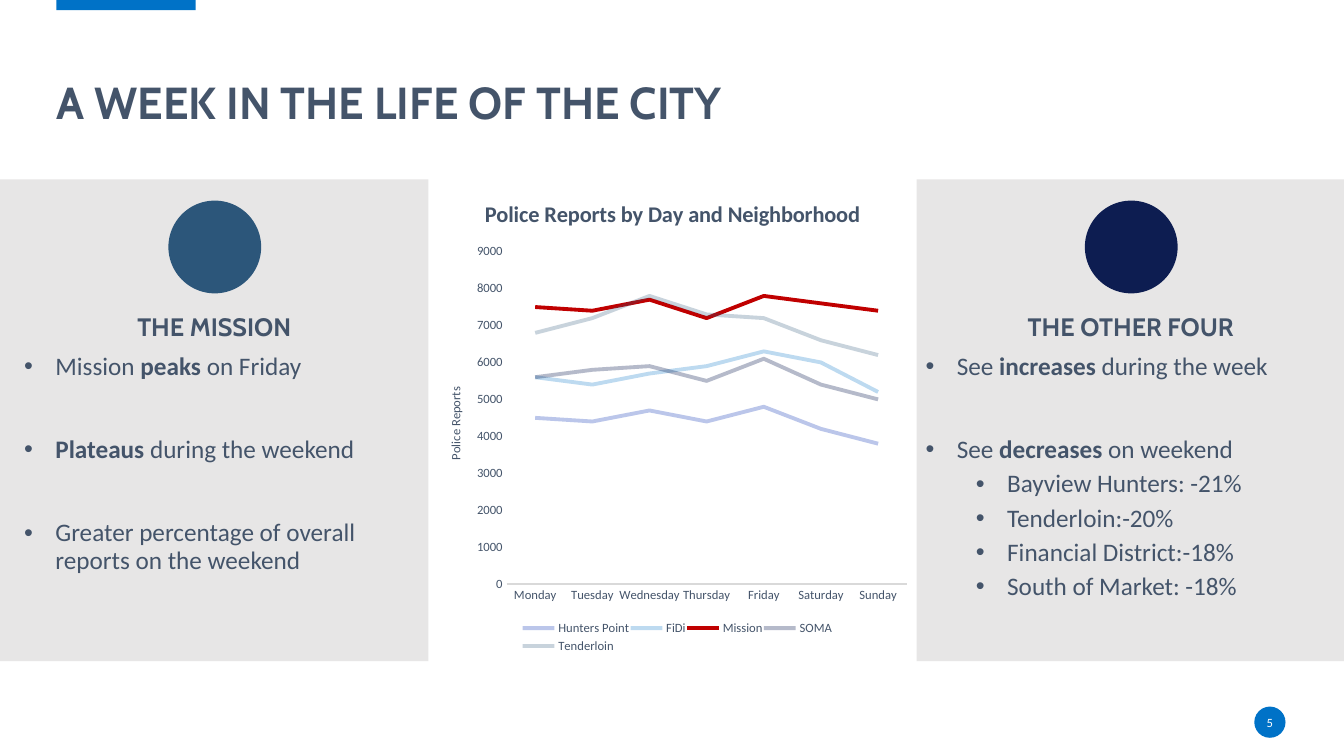
"""Build a slide on weekly police reports with a line chart between two panels."""
from lxml import etree
from pptx import Presentation
from pptx import util as u
from pptx.chart import data as cd
from pptx.dml.color import RGBColor
from pptx.enum import chart as ce, shapes, text
from pptx.oxml import parse_xml
from pptx.oxml.ns import nsdecls, qn

SCALE = 9144
INK = "44546A"
BLUE = "0072C7"
GREY = "E7E6E6"
HEAD, BODY = "Cabin", "Calibri"
DAYS = ["Monday", "Tuesday", "Wednesday", "Thursday", "Friday", "Saturday", "Sunday"]
SERIES = [
    ("Hunters Point", "1E44BC", 30, [4500, 4400, 4700, 4400, 4800, 4200, 3800]),
    ("FiDi", BLUE, 25, [5600, 5400, 5700, 5900, 6300, 6000, 5200]),
    ("Mission", "C00000", 100, [7500, 7400, 7700, 7200, 7800, 7600, 7400]),
    ("SOMA", "0D1D51", 30, [5600, 5800, 5900, 5500, 6100, 5400, 5000]),
    ("Tenderloin", "2C567A", 25, [6800, 7200, 7800, 7300, 7200, 6600, 6200]),
]
MISSION = [
    (0, 0, ["Mission ", "peaks", " on Friday"]),
    (0, 40, ["", "Plateaus", " during the weekend"]),
    (0, 40, ["Greater percentage of overall reports on the weekend"]),
]
OTHERS = [
    (0, 0, ["See ", "increases", " during the week"]),
    (0, 40, ["See ", "decreases", " on weekend"]),
    (1, 5, ["Bayview Hunters: -21%"]),
    (1, 5, ["Tenderloin:-20%"]),
    (1, 5, ["Financial District:-18%"]),
    (1, 5, ["South of Market: -18%"]),
]


def px(*vals):
    """Turn px lengths into EMU."""
    return [u.Emu(v * SCALE) for v in vals]


def rgb(code):
    """Turn a hex string into a colour."""
    return RGBColor.from_string(code)


def style(font, size, name=BODY, color=INK, bold=False):
    """Set the look of a font."""
    font.size, font.name, font.bold = u.Pt(size), name, bold
    font.color.rgb = rgb(color)


def frame(shape, anchor):
    """Clear the insets of a shape's text and set its anchor."""
    box = shape.text_frame
    box.margin_left = box.margin_right = box.margin_top = box.margin_bottom = 0
    box.word_wrap = True
    box.vertical_anchor = anchor
    return box


def block(slide, kind, box, fill):
    """Draw a plain filled shape."""
    shape = slide.shapes.add_shape(kind, *px(*box))
    shape.shadow.inherit = False
    shape.fill.solid()
    shape.fill.fore_color.rgb = rgb(fill)
    shape.line.fill.background()
    return shape


def label(shape, words, size, name=HEAD, color=INK, bold=True):
    """Write one centred line in a shape."""
    box = frame(shape, text.MSO_ANCHOR.MIDDLE)
    box.text = words
    para = box.paragraphs[0]
    para.alignment = text.PP_ALIGN.CENTER
    style(para.runs[0].font, size, name, color, bold)


def bullets(slide, box, items):
    """Write a bulleted list whose odd segments are bold."""
    area = frame(slide.shapes.add_textbox(*px(*box)), text.MSO_ANCHOR.TOP)
    for num, (level, gap, parts) in enumerate(items):
        para = area.add_paragraph() if num else area.paragraphs[0]
        para.level = level
        para.line_spacing = 0.9
        para.space_before = u.Pt(gap)
        props = para._p.get_or_add_pPr()
        left, hang = px(31 + 50 * level, -31)
        props.set("marL", str(left))
        props.set("indent", str(hang))
        etree.SubElement(props, qn("a:buFont")).set("typeface", "Arial")
        etree.SubElement(props, qn("a:buChar")).set("char", "•")
        for spot, part in enumerate(parts):
            if part:
                run = para.add_run()
                run.text = part
                style(run.font, 18, bold=spot % 2 == 1)


def panel(slide, left, tint, head, inset, items):
    """Draw a side panel with its disc, heading and list."""
    block(slide, shapes.MSO_SHAPE.RECTANGLE, (left, 178, 425, 478), GREY)
    block(slide, shapes.MSO_SHAPE.OVAL, (left + 167, 199, 92, 92), tint)
    label(slide.shapes.add_textbox(*px(left + 24, 297, 377, 54)), head, 18)
    bullets(slide, (left + inset, 351, 377, 274), items)


def place(node, spot, inner, **rect):
    """Give a chart part a fixed place as shares of the chart."""
    for old in node.findall(qn("c:layout")):
        node.remove(old)
    target = '<c:layoutTarget val="inner"/>' if inner else ""
    modes = '<c:xMode val="edge"/><c:yMode val="edge"/>'
    sides = "".join(f'<c:{key} val="{val}"/>' for key, val in rect.items())
    node.insert(spot, parse_xml(
        f'<c:layout {nsdecls("c")}><c:manualLayout>{target}{modes}{sides}'
        "</c:manualLayout></c:layout>"))


def caption(owner, words, size, bold):
    """Write the title of a chart or an axis."""
    box = owner.text_frame
    box.text = words
    style(box.paragraphs[0].runs[0].font, size, bold=bold)
    return box


def reports(slide, box):
    """Draw the line chart of reports by day."""
    data = cd.CategoryChartData()
    data.categories = DAYS
    for name, _, _, vals in SERIES:
        data.add_series(name, vals)
    chart = slide.shapes.add_chart(ce.XL_CHART_TYPE.LINE, *px(*box), data).chart
    style(chart.font, 9)
    chart.has_title = True
    caption(chart.chart_title, "Police Reports by Day and Neighborhood", 16, True)

    days, count = chart.category_axis, chart.value_axis
    for axis in (days, count):
        axis.major_tick_mark = axis.minor_tick_mark = ce.XL_TICK_MARK.NONE
        axis.has_major_gridlines = False
        style(axis.tick_labels.font, 9)
    days.format.line.color.rgb = rgb("D9D9D9")
    days.format.line.width = u.Pt(1)
    count.format.line.fill.background()
    count.minimum_scale, count.maximum_scale, count.major_unit = 0, 9000, 1000
    count.has_title = True
    side = caption(count.axis_title, "Police Reports", 9, False)
    side._txBody.bodyPr.set("rot", "-5400000")
    side._txBody.bodyPr.set("vert", "horz")

    chart.has_legend = True
    legend = chart.legend
    legend.position = ce.XL_LEGEND_POSITION.BOTTOM
    legend.include_in_layout = False
    style(legend.font, 9)
    place(legend._element, 1, False, x=0.19, y=0.91, w=0.64, h=0.08)
    place(chart._chartSpace.chart.plotArea, 0, True, x=0.16, y=0.15, w=0.82, h=0.69)

    chart.plots[0].vary_by_categories = False
    for line, (_, color, alpha, _) in zip(chart.plots[0].series, SERIES):
        line.smooth = False
        line.format.line.width = u.Pt(2.75)
        line.format.line.color.rgb = rgb(color)
        if alpha < 100:
            tone = line._element.find(".//" + qn("a:srgbClr"))
            etree.SubElement(tone, qn("a:alpha")).set("val", str(alpha * 1000))


def main():
    """Build and save the slide."""
    deck = Presentation()
    deck.slide_width, deck.slide_height = px(1333, 750)
    slide = deck.slides.add_slide(deck.slide_layouts[5])
    title = slide.shapes.title
    title.left, title.top, title.width, title.height = px(56, 27, 1219, 101)
    box = frame(title, text.MSO_ANCHOR.BOTTOM)
    box.text = "A WEEK IN THE LIFE OF THE CITY"
    para = box.paragraphs[0]
    para.alignment = text.PP_ALIGN.LEFT
    para.line_spacing = 0.9
    style(para.runs[0].font, 32, HEAD, bold=True)

    block(slide, shapes.MSO_SHAPE.RECTANGLE, (56, 0, 138, 10), BLUE)
    panel(slide, 0, "2C567A", "THE MISSION", 24, MISSION)
    panel(slide, 909, "0D1D51", "THE OTHER FOUR", 9, OTHERS)
    reports(slide, (425, 178, 484, 478))
    badge = block(slide, shapes.MSO_SHAPE.OVAL, (1244, 701, 31, 31), BLUE)
    label(badge, "5", 9, BODY, "FFFFFF", False)
    deck.save("out.pptx")


if __name__ == "__main__":
    main()
